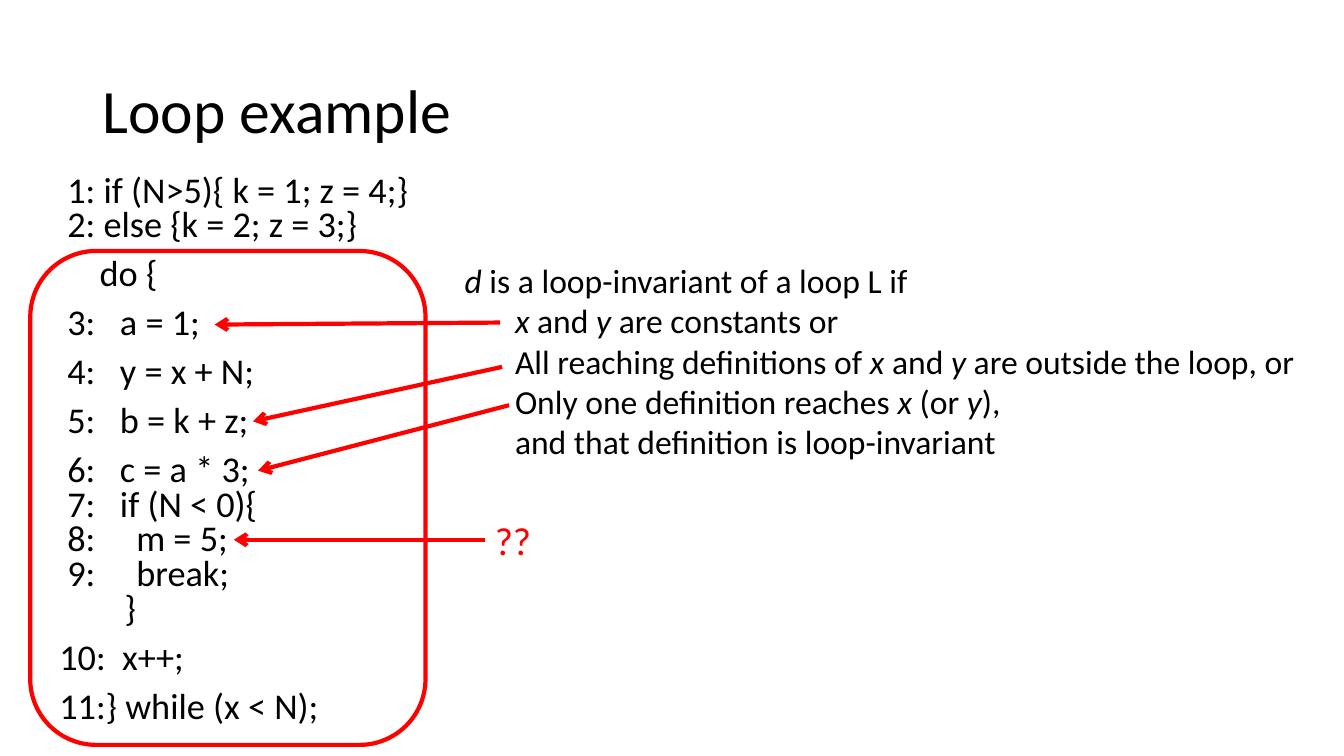
import pptx
import pptx.dml.color
import pptx.enum.shapes
import pptx.enum.text
import pptx.oxml
import pptx.oxml.ns
import pptx.util

Inches = pptx.util.Inches
Pt = pptx.util.Pt
COLORS = {"text": "000000", "accent": "FF0000"}
FONT = "Calibri"
NUMBER_INDENT = 0.08
CODE = [
    (NUMBER_INDENT, "1: if (N>5){ k = 1; z = 4;}\n2: else {k = 2; z = 3;}"),
    (0.4, "do {"),
    (NUMBER_INDENT, "3:   a = 1;"),
    (NUMBER_INDENT, "4:   y = x + N;"),
    (NUMBER_INDENT, "5:   b = k + z;"),
    (NUMBER_INDENT, "6:   c = a * 3;\n7:   if (N < 0){\n8:     m = 5;\n9:     break;\n       }"),
    (0, "10:  x++;"),
    (0, "11:} while (x < N);"),
]
CONDITIONS = [
    (0, "_d_ is a loop-invariant of a loop L if"),
    (0.5, "_x_ and _y_ are constants or"),
    (0.5, "All reaching definitions of _x_ and _y_ are outside the loop, or"),
    (0.5, "Only one definition reaches _x_ (or _y_),\nand that definition is loop-invariant"),
]
REASON_ARROWS = [
    ((4.96, 3.2), (2.13, 3.22)),
    ((4.98, 3.64), (2.51, 4.18)),
    ((5.05, 4.02), (2.56, 4.67)),
]


def rgb(name):
    """Return the named colour."""
    return pptx.dml.color.RGBColor.from_string(COLORS[name])


def add_lines(slide, box, lines, size, color="text", wrap=True, spacing=1.0, before=0):
    """Add a text box of (indent, text) paragraphs; underscores enclose italics."""
    holder = slide.shapes.add_textbox(*map(Inches, box))
    frame = holder.text_frame
    frame.word_wrap = wrap
    for index, (indent, text) in enumerate(lines):
        paragraph = frame.paragraphs[0] if index == 0 else frame.add_paragraph()
        paragraph.line_spacing = spacing
        paragraph.space_before = Pt(before)
        properties = paragraph._p.get_or_add_pPr()
        properties.set("marL", str(Inches(indent)))
        properties.set("indent", "0")
        for row, line in enumerate(text.split("\n")):
            if row:
                paragraph.add_line_break()
            for part, words in enumerate(line.split("_")):
                if words:
                    run = paragraph.add_run()
                    run.text = words
                    run.font.name = FONT
                    run.font.size = Pt(size)
                    run.font.italic = part % 2 == 1
                    run.font.color.rgb = rgb(color)
        for line_break in paragraph._p.findall(pptx.oxml.ns.qn("a:br")):
            attributes = {"sz": str(round(size * 100))}
            line_break.append(line_break.makeelement(pptx.oxml.ns.qn("a:rPr"), attributes))
    return holder


def add_arrow(slide, start, end):
    """Draw a red arrow from start to end and return it."""
    arrow = slide.shapes.add_connector(
        pptx.enum.shapes.MSO_CONNECTOR.STRAIGHT, *map(Inches, start + end))
    arrow.line.color.rgb = rgb("accent")
    arrow.line.width = Pt(3)
    line = arrow.line._get_or_add_ln()
    line.append(line.makeelement(pptx.oxml.ns.qn("a:tailEnd"), {"type": "arrow"}))
    properties = arrow._element.spPr
    properties.append(properties.makeelement(pptx.oxml.ns.qn("a:effectLst"), {}))
    return arrow


def add_title(slide, box):
    """Place the slide title, centred vertically in its box."""
    title = add_lines(slide, box, [(0, "Loop example")], 44, spacing=0.9)
    title.text_frame.vertical_anchor = pptx.enum.text.MSO_ANCHOR.MIDDLE


def add_program(slide, box):
    """Place the numbered code and the outline around its loop."""
    left, top, width, height = box
    add_lines(slide, box, CODE, 25.9, spacing=0.8, before=10)
    loop = slide.shapes.add_shape(
        pptx.enum.shapes.MSO_SHAPE.ROUNDED_RECTANGLE,
        *map(Inches, (left - 0.19, top + 0.8, 3.92, 4.9)))
    loop.shadow.inherit = False
    loop.fill.background()
    loop.line.color.rgb = rgb("accent")
    loop.line.width = Pt(3)


def add_definition(slide, box):
    """Place the invariance conditions with arrows to the code they explain."""
    add_lines(slide, box, CONDITIONS, 24, wrap=False)
    for start, end in REASON_ARROWS:
        add_arrow(slide, start, end)


def add_question(slide, box):
    """Place the question marks with a level arrow to the open case."""
    left, top, width, height = box
    middle = top + height / 2
    question = add_lines(slide, box, [(0, "??")], 28, "accent", wrap=False)
    arrow = add_arrow(slide, (left, middle), (left - 2.49, middle))
    arrow.begin_connect(question, 1)


def main():
    """Build and save the slide."""
    deck = pptx.Presentation()
    deck.slide_width = Inches(13.33)
    deck.slide_height = Inches(7.5)
    slide = deck.slides.add_slide(deck.slide_layouts[6])
    add_title(slide, (0.92, 0.4, 11.5, 1.45))
    add_program(slide, (0.49, 1.69, 11.93, 5.6))
    add_definition(slide, (4.51, 2.53, 8.54, 2.42))
    add_question(slide, (4.81, 5.07, 0.57, 0.57))
    deck.save("out.pptx")


if __name__ == "__main__":
    main()
